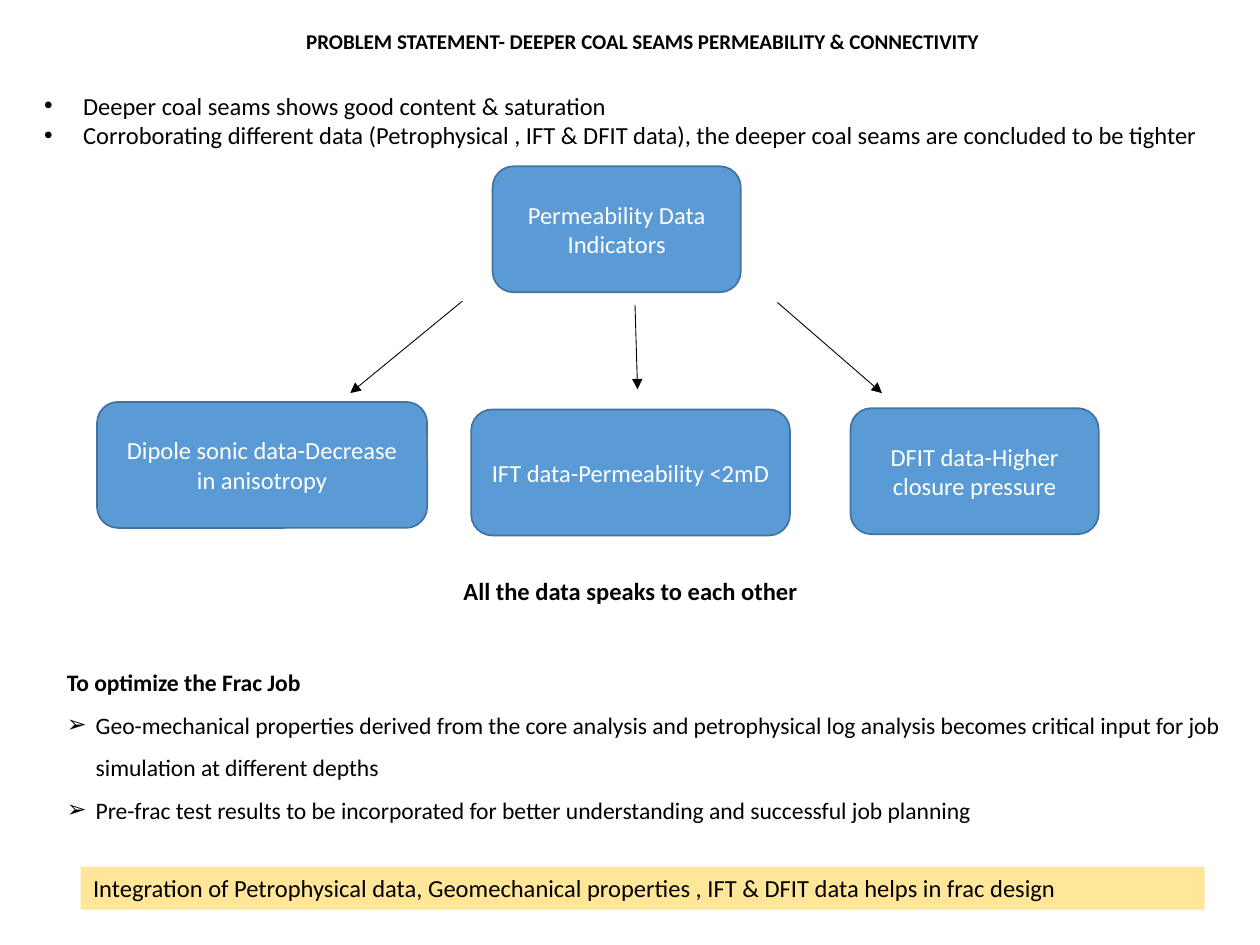
from dataclasses import dataclass

from lxml import etree
from pptx import Presentation
from pptx import util as u
from pptx.dml.color import RGBColor
from pptx.enum import shapes, text
from pptx.oxml import ns


@dataclass(frozen=True)
class Theme:
    font: str = "Calibri"
    ink: str = "000000"
    pale: str = "FFFFFF"
    blue: str = "5B9BD5"
    edge: str = "43739E"
    gold: str = "FFE699"
    head: float = 12
    body: float = 14
    plan: float = 13.5
    rim: float = 1
    wire: float = 0.5


@dataclass(frozen=True)
class Box:
    x: float
    y: float
    w: float
    h: float

    def sub(self, x, y, w, h):
        return Box(self.x + x, self.y + y, w, h)

    def place(self):
        return [u.Inches(v) for v in (self.x, self.y, self.w, self.h)]


THEME = Theme()
LEFT, MID = text.PP_ALIGN.LEFT, text.PP_ALIGN.CENTER
TOP, CENTER = text.MSO_ANCHOR.TOP, text.MSO_ANCHOR.MIDDLE


def color(code):
    return RGBColor.from_string(code)


def move(item, box):
    item.left, item.top, item.width, item.height = box.place()


def frame(item, anchor=TOP):
    tf = item.text_frame
    tf.word_wrap = True
    tf.auto_size = text.MSO_AUTO_SIZE.NONE
    tf.vertical_anchor = anchor
    return tf


def write(para, words, size, bold=False, ink=THEME.ink, align=LEFT):
    para.alignment = align
    run = para.add_run()
    run.text = words
    run.font.name = THEME.font
    run.font.size = u.Pt(size)
    run.font.bold = bold
    run.font.color.rgb = color(ink)


def bullet(para, mark, indent):
    prop = para._p.get_or_add_pPr()
    prop.set("marL", str(u.Inches(indent)))
    prop.set("indent", str(-u.Inches(indent)))
    if mark:
        etree.SubElement(prop, ns.qn("a:buChar")).set("char", mark)
    else:
        etree.SubElement(prop, ns.qn("a:buNone"))


def title(item, box, words):
    move(item, box)
    write(frame(item).paragraphs[0], words, THEME.head, True)


def listing(item, box, rows, size, indent, space=1.0):
    move(item, box)
    tf = frame(item)
    for i, (mark, words) in enumerate(rows):
        para = tf.add_paragraph() if i else tf.paragraphs[0]
        para.space_before = u.Pt(0)
        para.line_spacing = space
        write(para, words, size, bold=not mark)
        bullet(para, mark, indent if mark else 0)


def panel(slide, box, kind, fill, edge=None):
    item = slide.shapes.add_shape(kind, *box.place())
    item.shadow.inherit = False
    item.fill.solid()
    item.fill.fore_color.rgb = color(fill)
    if edge:
        item.line.color.rgb = color(edge)
        item.line.width = u.Pt(THEME.rim)
    else:
        item.line.fill.background()
    return item


def node(slide, box, words):
    item = panel(slide, box, shapes.MSO_SHAPE.ROUNDED_RECTANGLE,
                 THEME.blue, THEME.edge)
    write(frame(item, CENTER).paragraphs[0], words, THEME.body,
          ink=THEME.pale, align=MID)


def arrow(slide, box, start, end):
    ends = [u.Inches(v) for x, y in (start, end)
            for v in (box.x + x, box.y + y)]
    wire = slide.shapes.add_connector(shapes.MSO_CONNECTOR.STRAIGHT, *ends)
    wire.line.color.rgb = color(THEME.ink)
    wire.line.width = u.Pt(THEME.wire)
    etree.SubElement(wire.line._get_or_add_ln(),
                     ns.qn("a:tailEnd")).set("type", "triangle")
    etree.SubElement(wire._element.spPr, ns.qn("a:effectLst"))


def diagram(slide, box):
    nodes = (
        (3.14, 0, 1.97, "Permeability Data Indicators"),
        (0, 1.87, 2.62, "Dipole sonic data-Decrease in anisotropy"),
        (2.97, 1.93, 2.53, "IFT data-Permeability <2mD"),
        (5.98, 1.92, 1.97, "DFIT data-Higher closure pressure"),
    )
    for x, y, w, words in nodes:
        node(slide, box.sub(x, y, w, 1), words)
    arrows = (
        ((2.9, 1.07), (2.01, 1.8)),
        ((4.27, 1.1), (4.29, 1.77)),
        ((5.4, 1.08), (6.23, 1.8)),
    )
    for start, end in arrows:
        arrow(slide, box, start, end)


def remark(slide, box, words):
    item = slide.shapes.add_textbox(*box.place())
    write(frame(item).paragraphs[0], words, THEME.body, True)


def banner(slide, box, words):
    item = panel(slide, box, shapes.MSO_SHAPE.RECTANGLE, THEME.gold)
    write(frame(item).paragraphs[0], words, THEME.body)


def main():
    deck = Presentation()
    deck.slide_width, deck.slide_height = u.Inches(10), u.Inches(7.5)
    slide = deck.slides.add_slide(deck.slide_layouts[3])
    head, facts, plan = slide.placeholders

    title(head, Box(2.33, 0.18, 6, 0.3),
          "PROBLEM STATEMENT- DEEPER COAL SEAMS PERMEABILITY & CONNECTIVITY")
    listing(facts, Box(0.25, 0.67, 9.58, 1.04), (
        ("•", "Deeper coal seams shows good content & saturation"),
        ("•", "Corroborating different data (Petrophysical , IFT & DFIT data), "
              "the deeper coal seams are concluded to be tighter"),
    ), THEME.body, 0.31)
    diagram(slide, Box(0.77, 1.32, 7.95, 2.93))
    remark(slide, Box(3.58, 4.52, 5.64, 0.35),
           "All the data speaks to each other")
    listing(plan, Box(0.43, 5.14, 9.57, 1.46), (
        ("", "To optimize the Frac Job"),
        ("➢", "Geo-mechanical properties derived from the core analysis and "
              "petrophysical log analysis becomes critical input for job "
              "simulation at different depths"),
        ("➢", "Pre-frac test results to be incorporated for better "
              "understanding and successful job planning"),
    ), THEME.plan, 0.23, 1.5)
    banner(slide, Box(0.64, 6.88, 8.92, 0.34),
           "Integration of Petrophysical data, Geomechanical properties , "
           "IFT & DFIT data helps in frac design")
    deck.save("out.pptx")


if __name__ == "__main__":
    main()
